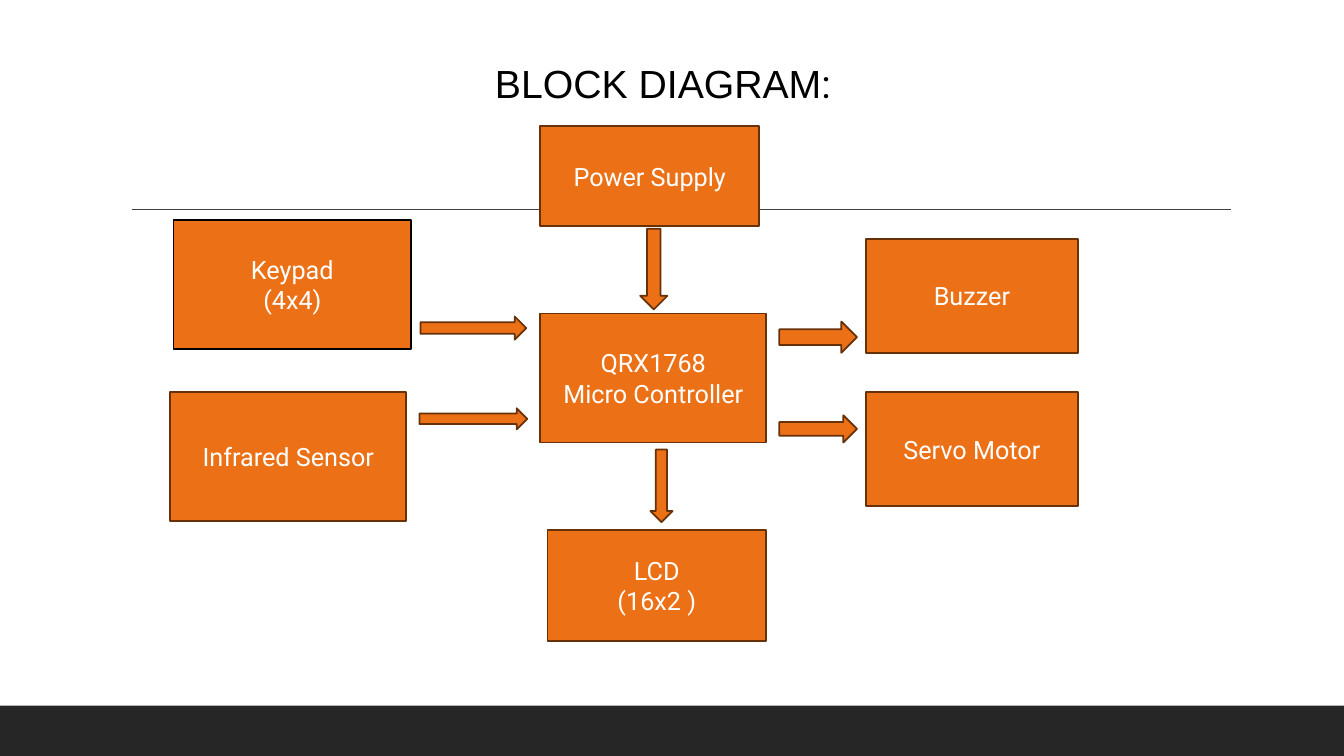
"""Build a block diagram slide for a micro controller system."""
from lxml import etree
from pptx import Presentation
from pptx.dml.color import RGBColor
from pptx.enum.shapes import MSO_CONNECTOR, MSO_SHAPE
from pptx.enum.text import MSO_ANCHOR, MSO_AUTO_SIZE, PP_ALIGN
from pptx.oxml.ns import qn
from pptx.util import Inches, Pt

COLORS = {
    "bar": "262626",
    "rule": "404040",
    "block": "EC7016",
    "edge": "67310A",
    "black": "000000",
    "white": "FFFFFF",
}


def color(name):
    return RGBColor.from_string(COLORS[name])


def add_box(kind, place, fill="block", edge="edge"):
    box = slide.shapes.add_shape(kind, *map(Inches, place))
    box.shadow.inherit = False
    box.fill.solid()
    box.fill.fore_color.rgb = color(fill)
    if edge:
        box.line.color.rgb = color(edge)
        box.line.width = Pt(1.25)
    else:
        box.line.fill.background()
    return box


deck = Presentation()
deck.slide_width, deck.slide_height = Inches(13.33), Inches(7.5)
slide = deck.slides.add_slide(deck.slide_layouts[5])

add_box(MSO_SHAPE.RECTANGLE, (0, 7, 13.33, 0.5), "bar", None)
rule = slide.shapes.add_connector(
    MSO_CONNECTOR.STRAIGHT, Inches(1.31), Inches(2.08), Inches(12.21), Inches(2.08)
)
rule.line.color.rgb = color("rule")
rule.line.width = Pt(1)
etree.SubElement(rule._element.spPr, qn("a:effectLst"))

title = slide.shapes.title
title.left, title.top = Inches(4.03), Inches(0.54)
title.width, title.height = Inches(5.09), Inches(0.57)
frame = title.text_frame
frame.auto_size = MSO_AUTO_SIZE.NONE
frame.vertical_anchor = MSO_ANCHOR.TOP
head = frame.paragraphs[0]
head.alignment = PP_ALIGN.CENTER
head.font.size = Pt(28)
head.font.color.rgb = color("black")
for text, font in (("BLOCK DIAGRAM", "Arial"), (":", "Roboto")):
    run = head.add_run()
    run.text = text
    run.font.name = font

blocks = [
    ("Keypad\n(4x4)", (1.72, 2.18, 2.36, 1.28), "black"),
    ("QRX1768\nMicro Controller", (5.36, 3.11, 2.24, 1.28), "edge"),
    ("Buzzer", (8.59, 2.37, 2.1, 1.13), "edge"),
    ("Servo Motor", (8.59, 3.89, 2.1, 1.13), "edge"),
    ("LCD\n(16x2 )", (5.43, 5.26, 2.17, 1.1), "edge"),
    ("Power Supply", (5.36, 1.25, 2.17, 0.99), "edge"),
    ("Infrared Sensor", (1.69, 3.89, 2.34, 1.28), "edge"),
]
for text, place, edge in blocks:
    frame = add_box(MSO_SHAPE.RECTANGLE, place, edge=edge).text_frame
    frame.text = text
    frame.vertical_anchor = MSO_ANCHOR.MIDDLE
    for line in frame.paragraphs:
        line.alignment = PP_ALIGN.CENTER
        line.font.name = "Roboto"
        line.font.size = Pt(18)
        line.font.color.rgb = color("white")

arrows = {
    MSO_SHAPE.RIGHT_ARROW: [
        (4.17, 3.14, 1.05, 0.23),
        (4.16, 4.05, 1.07, 0.21),
        (7.73, 3.19, 0.77, 0.31),
        (7.73, 4.12, 0.77, 0.27),
    ],
    MSO_SHAPE.DOWN_ARROW: [
        (6.35, 2.27, 0.27, 0.8),
        (6.45, 4.46, 0.22, 0.72),
    ],
}
for kind, places in arrows.items():
    for place in places:
        add_box(kind, place)

deck.save("out.pptx")
